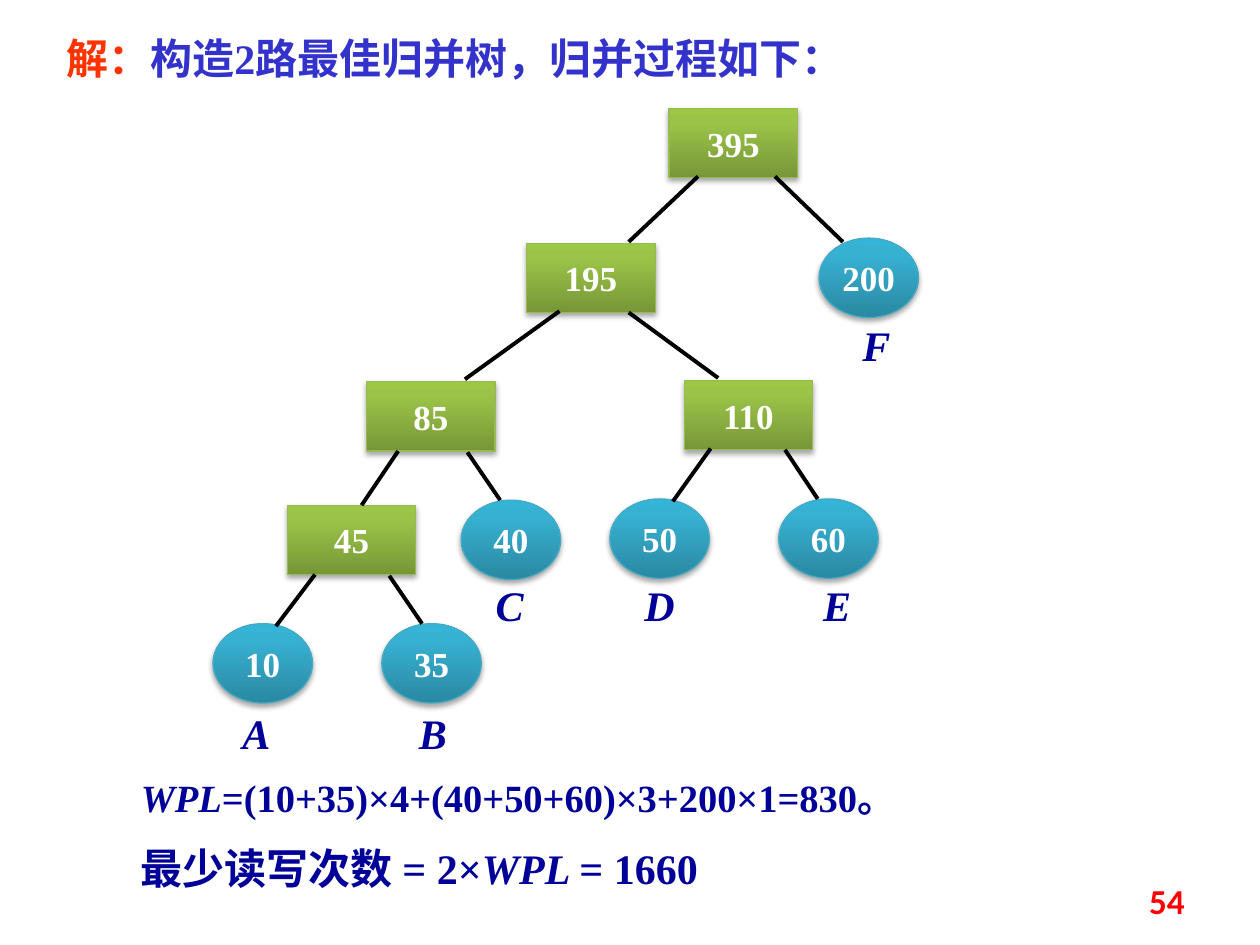
from copy import deepcopy

from lxml.etree import SubElement
from pptx import Presentation
from pptx.dml.color import RGBColor
from pptx.enum.shapes import MSO_CONNECTOR, MSO_SHAPE
from pptx.enum.text import MSO_ANCHOR, PP_ALIGN
from pptx.oxml.ns import qn
from pptx.util import Inches, Pt

BLACK = RGBColor(0x00, 0x00, 0x00)
WHITE = RGBColor(0xFF, 0xFF, 0xFF)
RED = RGBColor(0xFF, 0x00, 0x00)
ORANGE = RGBColor(0xFF, 0x33, 0x00)
BLUE = RGBColor(0x33, 0x33, 0xCC)
NAVY = RGBColor(0x00, 0x00, 0x99)
GREEN_LINE = RGBColor(0x98, 0xB9, 0x55)
TEAL_LINE = RGBColor(0x46, 0xAA, 0xC5)
GREEN_STOPS = [
    (0, RGBColor(0x77, 0x97, 0x37)),
    (0.8, RGBColor(0x9B, 0xC3, 0x48)),
    (1, RGBColor(0x9D, 0xC7, 0x46)),
]
TEAL_STOPS = [
    (0, RGBColor(0x2A, 0x88, 0xA2)),
    (0.8, RGBColor(0x37, 0xB1, 0xD2)),
    (1, RGBColor(0x34, 0xB4, 0xD6)),
]

SERIF = "Times New Roman"
MERGE_SIZE = (1.02, 0.55)
RUN_SIZE = (0.79, 0.63)
LABEL_SIZE = (0.47, 0.5)

MERGES = [
    ("395", 5.31, 0.86),
    ("195", 4.18, 1.93),
    ("85", 2.91, 3.03),
    ("110", 5.43, 3.02),
    ("45", 2.28, 4.01),
]
RUNS = [
    ("200", 6.5, 1.89),
    ("40", 3.66, 3.97),
    ("50", 4.84, 3.96),
    ("60", 6.18, 3.96),
    ("10", 1.69, 4.95),
    ("35", 3.03, 4.95),
]
LABELS = [
    ("A", 1.8, 5.57),
    ("B", 3.2, 5.57),
    ("C", 3.81, 4.55),
    ("D", 5, 4.55),
    ("E", 6.41, 4.55),
    ("F", 6.72, 2.49),
]
BRANCHES = [
    (5.54, 1.4, 4.99, 1.92),
    (6.15, 1.4, 6.69, 1.92),
    (4.44, 2.47, 3.69, 3.01),
    (4.99, 2.48, 5.7, 3),
    (3.16, 3.58, 2.87, 4.01),
    (3.71, 3.59, 3.97, 3.97),
    (5.64, 3.56, 5.34, 3.98),
    (6.23, 3.57, 6.49, 3.96),
    (2.5, 4.56, 2.19, 4.97),
    (3.09, 4.57, 3.35, 4.95),
]


def add_span(para, text, color, **formats):
    span = para.add_run()
    span.text = text
    span.font.color.rgb = color
    for name, value in ({"name": SERIF, "bold": True} | formats).items():
        setattr(span.font, name, value)


def add_text(page, place, spans, size, align=PP_ALIGN.LEFT, anchor=MSO_ANCHOR.TOP):
    box = page.shapes.add_textbox(*map(Inches, place))
    box.text_frame.word_wrap = True
    box.text_frame.vertical_anchor = anchor
    para = box.text_frame.paragraphs[0]
    para.alignment = align
    for text, color, formats in spans:
        add_span(para, text, color, size=Pt(size), **formats)


def fill_gradient(shape, stops):
    shape.fill.gradient()
    shape.fill.gradient_angle = 90
    stop_list = shape.element.spPr.find(".//" + qn("a:gsLst"))
    stop_list.append(deepcopy(stop_list[-1]))
    for stop, (position, color) in zip(shape.fill.gradient_stops, stops):
        stop.position = position
        stop.color.rgb = color


def add_shadow(shape):
    shape.shadow.inherit = False
    effects = shape.element.spPr.find(qn("a:effectLst"))
    shadow = SubElement(effects, qn("a:outerShdw"), blurRad="40000", dist="23000",
                        dir="5400000", rotWithShape="0")
    color = SubElement(shadow, qn("a:srgbClr"), val="000000")
    SubElement(color, qn("a:alpha"), val="35000")


def add_node(page, kind, place, text, stops, line_color):
    node = page.shapes.add_shape(kind, *map(Inches, place))
    fill_gradient(node, stops)
    node.line.color.rgb = line_color
    node.line.width = Pt(0.75)
    add_shadow(node)
    node.text_frame.word_wrap = False
    node.text_frame.vertical_anchor = MSO_ANCHOR.MIDDLE
    para = node.text_frame.paragraphs[0]
    para.alignment = PP_ALIGN.CENTER
    add_span(para, text, WHITE, size=Pt(20))


def add_branch(page, ends):
    branch = page.shapes.add_connector(MSO_CONNECTOR.STRAIGHT, *map(Inches, ends))
    branch.line.color.rgb = BLACK
    branch.line.width = Pt(2.25)
    SubElement(branch.element.spPr, qn("a:effectLst"))


def add_tree(page):
    for text, left, top in MERGES:
        add_node(page, MSO_SHAPE.RECTANGLE, (left, top, *MERGE_SIZE), text,
                 GREEN_STOPS, GREEN_LINE)
    for text, left, top in RUNS:
        add_node(page, MSO_SHAPE.OVAL, (left, top, *RUN_SIZE), text,
                 TEAL_STOPS, TEAL_LINE)
    for ends in BRANCHES:
        add_branch(page, ends)
    for text, left, top in LABELS:
        add_text(page, (left, top, *LABEL_SIZE), [(text, NAVY, {"italic": True})],
                 24, PP_ALIGN.CENTER)


def main():
    deck = Presentation()
    deck.slide_width = Inches(10)
    deck.slide_height = Inches(7.5)
    page = deck.slides.add_slide(deck.slide_layouts[6])

    add_text(page, (0.43, 0.21, 6.83, 0.5), [
        ("解：", ORANGE, {}),
        ("构造2路最佳归并树，归并过程如下：", BLUE, {}),
    ], 24)
    add_tree(page)
    add_text(page, (1.02, 6.09, 7.27, 0.47), [
        ("WPL", NAVY, {"italic": True}),
        ("=(10+35)×4+(40+50+60)×3+200×1=830。", NAVY, {}),
    ], 22)
    add_text(page, (1.02, 6.64, 6.95, 0.5), [
        ("最少读写次数 = 2×", NAVY, {}),
        ("WPL ", NAVY, {"italic": True}),
        ("= 1660", NAVY, {}),
    ], 24)
    add_text(page, (7.17, 6.95, 2.33, 0.4), [("54", RED, {"name": "Calibri"})],
             20, PP_ALIGN.RIGHT, MSO_ANCHOR.MIDDLE)
    deck.save("out.pptx")


if __name__ == "__main__":
    main()
